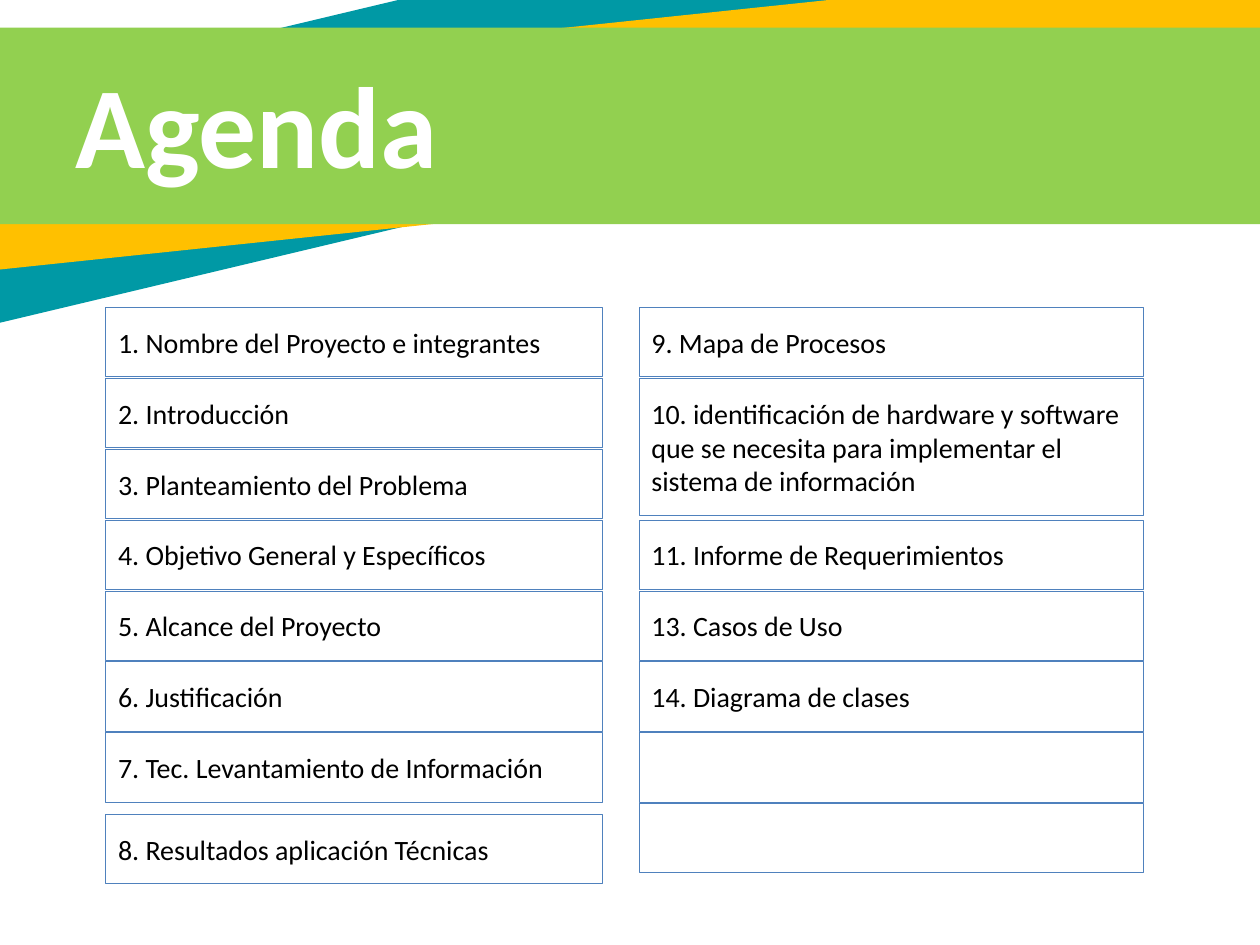
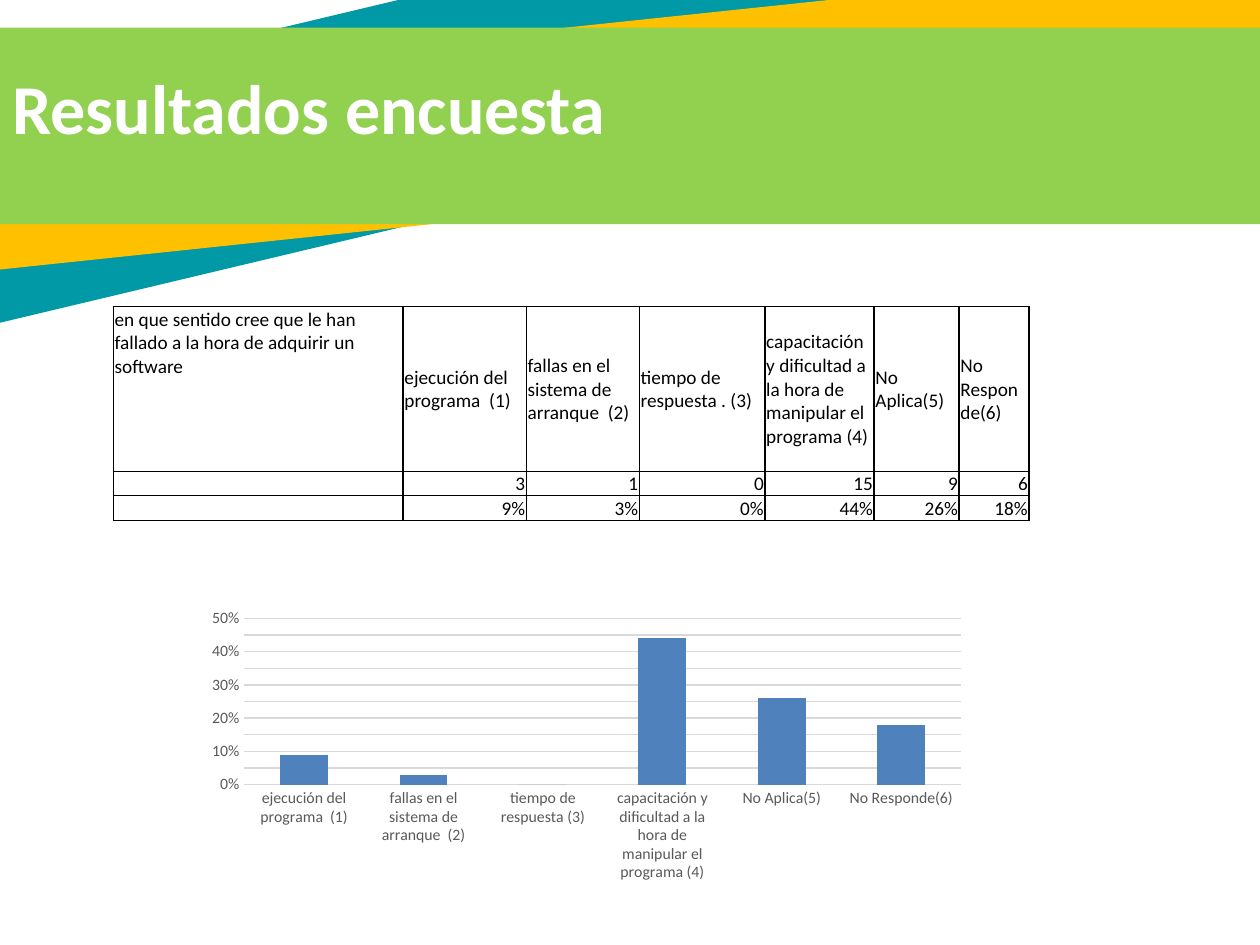
import dataclasses

import pptx
import pptx.chart.data
import pptx.dml.color
import pptx.enum.chart
import pptx.enum.shapes
import pptx.enum.text
import pptx.oxml.ns
import pptx.util
from lxml import etree

Pt = pptx.util.Pt
qn = pptx.oxml.ns.qn
Anchor = pptx.enum.text.MSO_ANCHOR
Align = pptx.enum.text.PP_ALIGN


@dataclasses.dataclass(frozen=True)
class Theme:
    font: str = "Calibri"
    teal: str = "0099A5"
    gold: str = "FFC000"
    green: str = "92D050"
    blue: str = "4F81BD"
    white: str = "FFFFFF"
    black: str = "000000"
    grid: str = "D9D9D9"
    axis_text: str = "595959"
    agenda_title: float = 66
    survey_title: float = 40
    item: float = 16
    cell: float = 11
    axis: float = 9


THEME = Theme()

# Left, top, width, height, rotation, colour; back to front
BANDS = [
    (-180.7, -13, 940.3, 126.7, 346.6, THEME.teal),
    (-79.2, 14.4, 837.4, 103.7, 354, THEME.gold),
    (-76.3, 15.8, 837.4, 112.3, 0, THEME.green),
]

# Slot in the column, number of slots filled, text
LEFT_ITEMS = [
    (0, 1, "1. Nombre del Proyecto e integrantes"),
    (1, 1, "2. Introducción"),
    (2, 1, "3. Planteamiento del Problema"),
    (3, 1, "4. Objetivo General y Específicos"),
    (4, 1, "5. Alcance del Proyecto"),
    (5, 1, "6. Justificación"),
    (6, 1, "7. Tec. Levantamiento de Información"),
    (7.15, 1, "8. Resultados aplicación Técnicas"),
]
RIGHT_ITEMS = [
    (0, 1, "9. Mapa de Procesos"),
    (1, 2, "10. identificación de hardware y software\n"
           "que se necesita para implementar el\nsistema de información"),
    (3, 1, "11. Informe de Requerimientos"),
    (4, 1, "13. Casos de Uso"),
    (5, 1, "14. Diagrama de clases"),
    (6, 1, ""),
    (7, 1, ""),
]
AGENDA_TOP, SLOT_PITCH, SLOT_HEIGHT = 175.7, 40.5, 39.6

QUESTION = "en que sentido cree que le han fallado a la hora de adquirir un software"
ANSWERS = [
    "ejecución del programa  (1)",
    "fallas en el sistema de arranque  (2)",
    "tiempo de respuesta (3)",
    "capacitación y dificultad a la hora de manipular el programa (4)",
    "No Aplica(5)",
    "No Responde(6)",
]
COUNTS = [3, 1, 0, 15, 9, 6]
SHARES = [0.09, 0.03, 0, 0.44, 0.26, 0.18]
COLUMN_WIDTHS = [165.6, 70.4, 64.6, 71.8, 62.4, 48.6, 39.9]
ROW_HEIGHTS = [94.3, 13.8, 14.2]


def rgb(colour):
    return pptx.dml.color.RGBColor.from_string(colour)


def style_font(font, size, colour, bold=False):
    font.name = THEME.font
    font.size = Pt(size)
    font.bold = bold
    font.color.rgb = rgb(colour)


def write_text(frame, text, size, colour, bold=False, align=Align.LEFT):
    frame.text = text
    for para in frame.paragraphs:
        para.alignment = align
        for span in para.runs:
            style_font(span.font, size, colour, bold)


def add_rectangle(page, left, top, width, height):
    box = page.shapes.add_shape(
        pptx.enum.shapes.MSO_SHAPE.RECTANGLE, Pt(left), Pt(top), Pt(width), Pt(height))
    box.shadow.inherit = False
    return box


def add_banded_page(deck):
    page = deck.slides.add_slide(deck.slide_layouts[6])
    for left, top, width, height, rotation, colour in BANDS:
        band = add_rectangle(page, left, top, width, height)
        band.rotation = rotation
        band.fill.solid()
        band.fill.fore_color.rgb = rgb(colour)
        band.line.fill.background()
    return page


def add_title(page, text, left, top, width, height, size, anchor):
    box = page.shapes.add_textbox(Pt(left), Pt(top), Pt(width), Pt(height))
    box.text_frame.word_wrap = True
    box.text_frame.vertical_anchor = anchor
    write_text(box.text_frame, text, size, THEME.white, bold=True)


def add_agenda_column(page, items, left, width):
    for slot, span_count, text in items:
        height = SLOT_HEIGHT + (span_count - 1) * 39
        box = add_rectangle(page, left, AGENDA_TOP + slot * SLOT_PITCH, width, height)
        box.fill.background()
        box.line.color.rgb = rgb(THEME.blue)
        box.line.width = Pt(0.5)
        if text:
            box.text_frame.word_wrap = True
            box.text_frame.vertical_anchor = Anchor.MIDDLE
            write_text(box.text_frame, text, THEME.item, THEME.black)


def add_cell_borders(cell):
    properties = cell._tc.get_or_add_tcPr()
    for position, tag in enumerate(("a:lnL", "a:lnR", "a:lnT", "a:lnB")):
        line = etree.Element(qn(tag), w=str(Pt(1)))
        fill = etree.SubElement(line, qn("a:solidFill"))
        etree.SubElement(fill, qn("a:srgbClr"), val=THEME.black)
        properties.insert(position, line)


def fill_cell(cell, text, anchor, align):
    cell.margin_left = cell.margin_right = cell.margin_top = Pt(0.72)
    cell.margin_bottom = 0
    cell.vertical_anchor = anchor
    cell.fill.background()
    add_cell_borders(cell)
    write_text(cell.text_frame, text, THEME.cell, THEME.black, align=align)
    if not text:  # keeps an empty row as low as a filled one
        para = cell.text_frame.paragraphs[0]
        etree.SubElement(para._p, qn("a:endParaRPr"), sz=str(THEME.cell * 100))


def add_survey_table(page):
    headings = [answer.replace("respuesta (", "respuesta . (") for answer in ANSWERS]
    rows = [
        [QUESTION] + headings,
        [""] + [str(count) for count in COUNTS],
        [""] + [f"{share:.0%}" for share in SHARES],
    ]
    table = page.shapes.add_table(
        len(rows), len(COLUMN_WIDTHS), Pt(64.8), Pt(175),
        Pt(sum(COLUMN_WIDTHS)), Pt(sum(ROW_HEIGHTS))).table
    table.first_row = table.horz_banding = False
    for column, width in zip(table.columns, COLUMN_WIDTHS):
        column.width = Pt(width)
    for row_index, (texts, height) in enumerate(zip(rows, ROW_HEIGHTS)):
        table.rows[row_index].height = Pt(height)
        for column_index, text in enumerate(texts):
            if row_index:
                anchor, align = Anchor.BOTTOM, Align.RIGHT
            else:
                anchor = Anchor.MIDDLE if column_index else Anchor.TOP
                align = Align.LEFT
            fill_cell(table.cell(row_index, column_index), text, anchor, align)


def style_axis(axis):
    axis.major_tick_mark = axis.minor_tick_mark = pptx.enum.chart.XL_TICK_MARK.NONE
    style_font(axis.tick_labels.font, THEME.axis, THEME.axis_text)


def style_grey_line(line):
    line.color.rgb = rgb(THEME.grid)
    line.width = Pt(0.75)


def add_survey_chart(page):
    data = pptx.chart.data.CategoryChartData(number_format="0%")
    data.categories = ANSWERS
    data.add_series("Series 1", SHARES)
    chart = page.shapes.add_chart(
        pptx.enum.chart.XL_CHART_TYPE.COLUMN_STACKED,
        Pt(112.3), Pt(344.9), Pt(445.7), Pt(162), data).chart
    chart.has_legend = chart.has_title = False
    style_font(chart.font, 10, THEME.black)

    plot = chart.plots[0]
    plot.gap_width, plot.overlap = 150, 100
    plot.vary_by_categories = False
    bars = plot.series[0].format.fill
    bars.solid()
    bars.fore_color.rgb = rgb(THEME.blue)

    style_axis(chart.category_axis)
    style_grey_line(chart.category_axis.format.line)
    values = chart.value_axis
    style_axis(values)
    values.minimum_scale, values.maximum_scale, values.major_unit = 0, 0.5, 0.05
    values.tick_labels.number_format = "0%"
    values.tick_labels.number_format_is_linked = False
    values.format.line.fill.background()
    style_grey_line(values.major_gridlines.format.line)


def main():
    deck = pptx.Presentation()
    deck.slide_width, deck.slide_height = Pt(720), Pt(540)

    agenda = add_banded_page(deck)
    add_title(agenda, "Agenda", 36, 35.3, 473.8, 69.8, THEME.agenda_title, Anchor.MIDDLE)
    add_agenda_column(agenda, LEFT_ITEMS, 60.4, 283.6)
    add_agenda_column(agenda, RIGHT_ITEMS, 365.2, 288)

    survey = add_banded_page(deck)
    add_survey_table(survey)
    add_survey_chart(survey)
    add_title(survey, "Resultados encuesta", 0, 33.1, 357.1, 55.4,
              THEME.survey_title, Anchor.TOP)

    deck.save("out.pptx")


if __name__ == "__main__":
    main()
